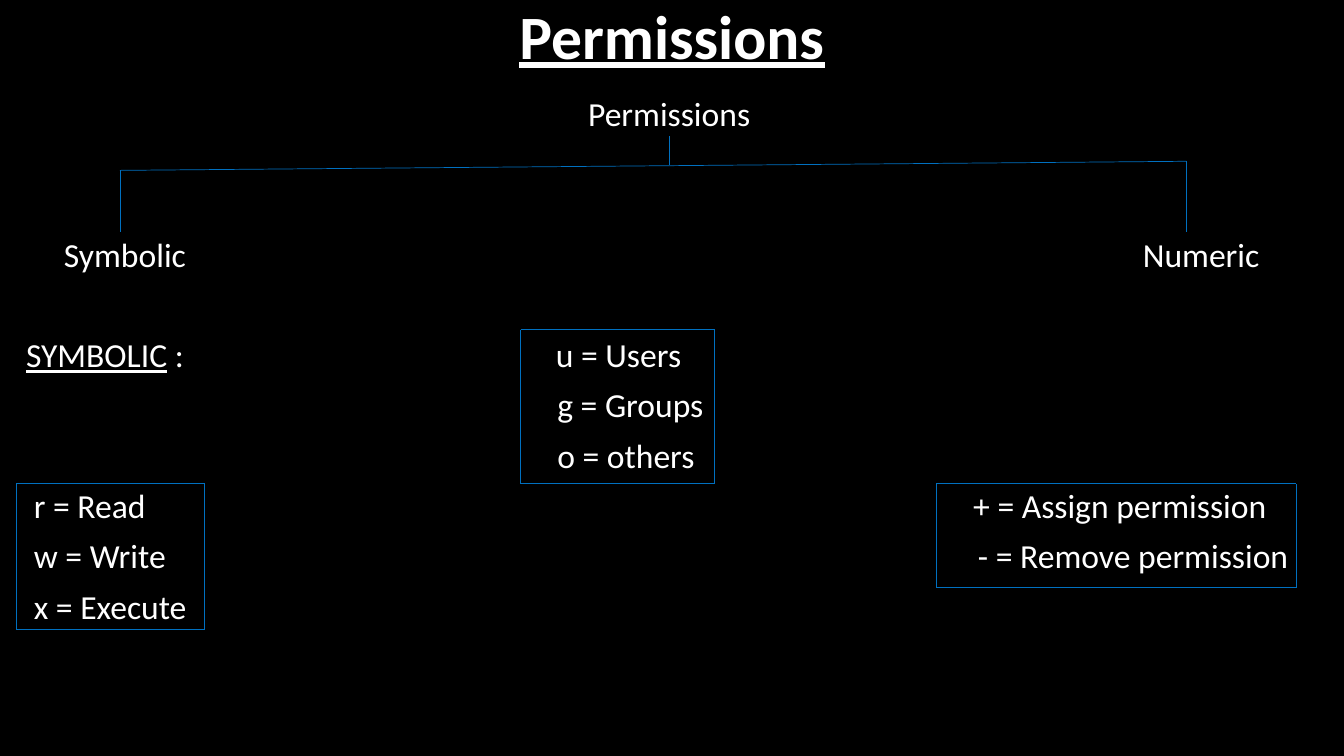
from pptx import Presentation
from pptx.dml.color import RGBColor
from pptx.enum.shapes import MSO_CONNECTOR
from pptx.enum.text import MSO_ANCHOR, MSO_AUTO_SIZE, PP_ALIGN
from pptx.oxml.ns import qn
from pptx.util import Pt
from lxml import etree

STRAIGHT = MSO_CONNECTOR.STRAIGHT
CENTER, LEFT = PP_ALIGN.CENTER, PP_ALIGN.LEFT
TOP, BOTTOM = MSO_ANCHOR.TOP, MSO_ANCHOR.BOTTOM
NO_FIT = MSO_AUTO_SIZE.NONE
BLACK, WHITE, BLUE = "000000", "FFFFFF", "0070C0"


def color(value):
    return RGBColor.from_string(value)


def write(box, lines, size, align, anchor, insets):
    frame = box.text_frame
    frame.word_wrap = True
    frame.auto_size = NO_FIT
    frame.vertical_anchor = anchor
    frame.margin_left, frame.margin_top = Pt(insets[0]), Pt(insets[1])
    frame.margin_right = frame.margin_bottom = 0
    frame.text = "\n".join(lines)
    for para in frame.paragraphs:
        para.alignment = align
        para.line_spacing = 0.9
        para.space_before = Pt(10)
        for span in para.runs:
            span.font.name = "Calibri"
            span.font.size = Pt(size)
            span.font.color.rgb = color(WHITE)


deck = Presentation()
deck.slide_width, deck.slide_height = Pt(960), Pt(540)
page = deck.slides.add_slide(deck.slide_layouts[5])
page.background.fill.solid()
page.background.fill.fore_color.rgb = color(BLACK)

title = page.shapes.title
title.left, title.top, title.width, title.height = Pt(120), Pt(2), Pt(720), Pt(53.3)
write(title, ["Permissions"], 44, CENTER, BOTTOM, (0, 3.6))
title.text_frame.margin_bottom = Pt(3.6)
title_font = title.text_frame.paragraphs[0].runs[0].font
title_font.bold = title_font.underline = True

labels = {}
for name, left, top, width, height, align, insets in [
    ("Permissions", 408, 65.2, 140, 32, CENTER, (0, 4.2)),
    ("Symbolic", 30, 165.6, 111.4, 32, LEFT, (15.7, 5)),
    ("Numeric", 790, 165.6, 114.8, 32, LEFT, (26.4, 5)),
    ("SYMBOLIC :", 18.6, 237, 140, 32, LEFT, (0, 5)),
]:
    box = page.shapes.add_textbox(Pt(left), Pt(top), Pt(width), Pt(height))
    write(box, [name], 24, align, TOP, insets)
    labels[name] = box

heading = labels["SYMBOLIC :"].text_frame.paragraphs[0]
heading.runs[0].text = "SYMBOLIC"
heading.runs[0].font.underline = True
colon = heading.add_run()
colon.text = " :"
colon.font.name = "Calibri"
colon.font.size = Pt(24)
colon.font.color.rgb = color(WHITE)

lines_to_draw = [
    (478, 97.2, 478, 118.1, "Permissions", None),
    (85.7, 121.7, 847.4, 115.2, None, None),
    (847.4, 115.2, 847.4, 165.6, None, "Numeric"),
    (85.7, 121.7, 85.7, 165.6, None, "Symbolic"),
]

for lines, indents, left, top, right, bottom, insets in [
    (["u = Users", "g = Groups", "o = others"], [0, 1, 1], 371.8, 235.4, 510.5, 345.6, (25.3, 6.4)),
    (["+ = Assign permission", "- = Remove permission"], [0, 3.4], 668.9, 345.6, 925.9, 419.8, (26.3, 4)),
    (["r = Read", "w = Write", "x = Execute"], [0, 0, 0], 11.5, 345.6, 146.2, 449.3, (12.7, 4)),
]:
    box = page.shapes.add_textbox(Pt(left), Pt(top), Pt(right - left), Pt(bottom - top))
    write(box, lines, 24, LEFT, TOP, insets)
    for para, indent in zip(box.text_frame.paragraphs, indents):
        para._p.get_or_add_pPr().set("marL", str(Pt(indent)))
    lines_to_draw += [
        (left, top, left, bottom, None, None),
        (left, top, right, top, None, None),
        (right, top, right, bottom, None, None),
        (right, bottom, left, bottom, None, None),
    ]

for x1, y1, x2, y2, start, end in lines_to_draw:
    line = page.shapes.add_connector(STRAIGHT, Pt(x1), Pt(y1), Pt(x2), Pt(y2))
    line.line.color.rgb = color(BLUE)
    line.line.width = Pt(0.5)
    etree.SubElement(line._element.spPr, qn("a:effectLst"))
    if start:
        line.begin_connect(labels[start], 2)
    if end:
        line.end_connect(labels[end], 0)

deck.save("out.pptx")
